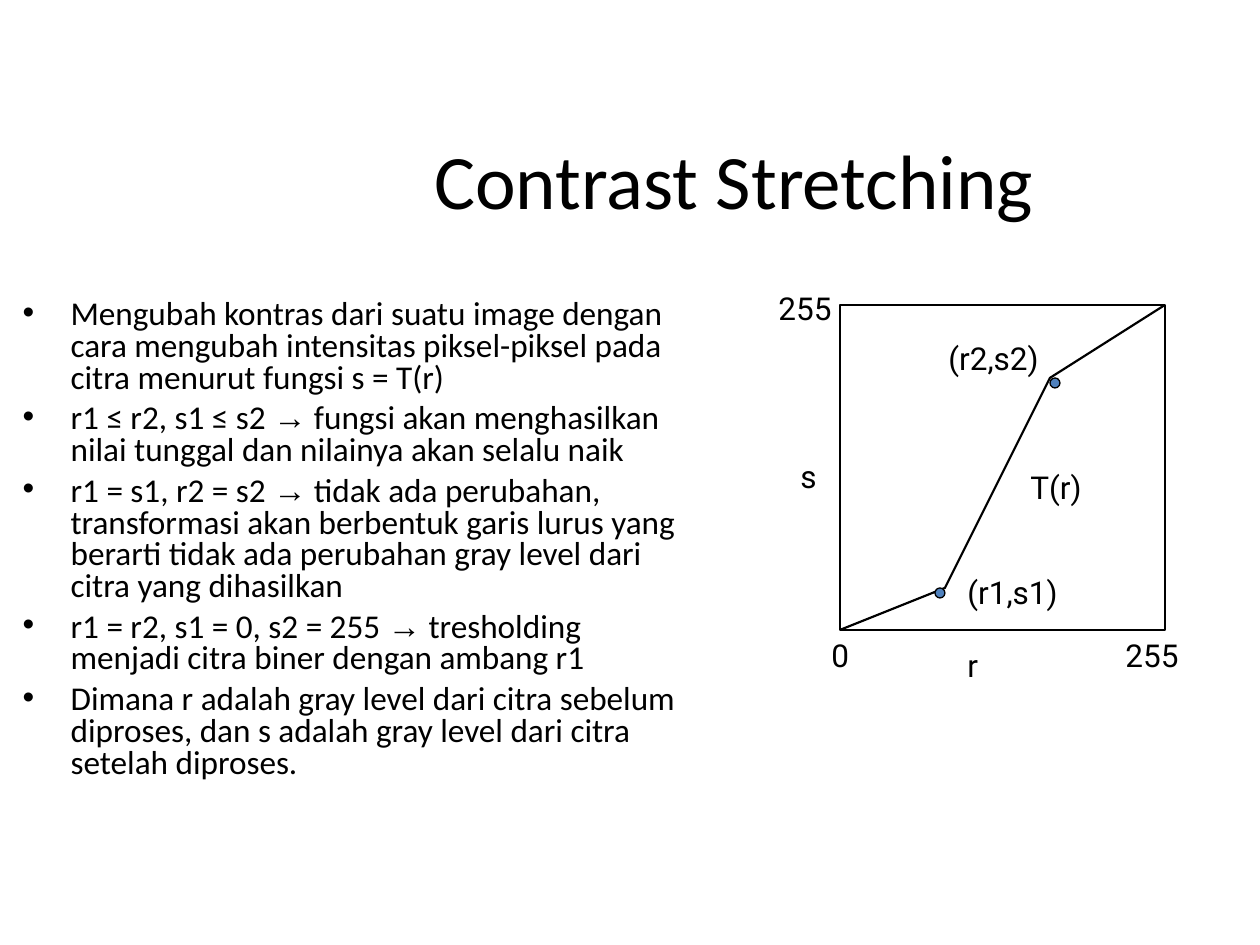
from pptx import Presentation
from pptx.dml.color import RGBColor
from pptx.enum.shapes import MSO_SHAPE as Preset
from pptx.enum.text import MSO_ANCHOR as Anchor, MSO_AUTO_SIZE as AutoSize, PP_ALIGN as Align
from pptx.util import Emu, Pt

EMU_PER_PX = 914400 / 126
COLORS = {"ink": "000000", "dot": "4F81BD"}
BULLETS = [
    "Mengubah kontras dari suatu image dengan cara mengubah intensitas piksel-piksel pada citra menurut fungsi s = T(r)",
    "r1 ≤ r2, s1 ≤ s2 → fungsi akan menghasilkan nilai tunggal dan nilainya akan selalu naik",
    "r1 = s1, r2 = s2 → tidak ada perubahan, transformasi akan berbentuk garis lurus yang berarti tidak ada perubahan gray level dari citra yang dihasilkan",
    "r1 = r2, s1 = 0, s2 = 255 → tresholding menjadi citra biner dengan ambang r1",
    "Dimana r adalah gray level dari citra sebelum diproses, dan s adalah gray level dari citra setelah diproses.",
]
CURVE = [(840, 630), (945, 588), (1050, 378), (1165, 305)]
DOTS = [(935, 588), (1050, 378)]
LABELS = [
    ("0", 819, 630, 42),
    ("s", 788, 451, 42),
    ("(r1,s1)", 955, 567, 147),
    ("r", 955, 640, 42),
    ("255", 766, 283, 94),
    ("255", 1113, 630, 94),
    ("T(r)", 1018, 462, 116),
    ("(r2,s2)", 936, 333, 147),
]


def px(length):
    """Turn a length in px into EMU."""
    return Emu(round(length * EMU_PER_PX))


def write(paragraph, text, font="Calibri", arrow_font="Arial", size=18, color="ink", align=Align.LEFT):
    """Fill a paragraph with formatted text, setting arrows in their own font."""
    paragraph.alignment = align
    before, arrow, after = text.partition("→")
    for part, name in ((before, font), (arrow, arrow_font), (after, font)):
        if part:
            run = paragraph.add_run()
            run.text = part
            run.font.name = name
            run.font.size = Pt(size)
            run.font.color.rgb = RGBColor.from_string(COLORS[color])


class SlideBuilder:
    """Hold the slide and draw its elements in one style."""

    def __init__(self, slide):
        """Keep the slide to draw on."""
        self.slide = slide

    def place(self, shape, left, top, width, height):
        """Move and size a placeholder and return its text frame."""
        shape.left, shape.top, shape.width, shape.height = map(px, (left, top, width, height))
        shape.text_frame.auto_size = AutoSize.NONE
        return shape.text_frame

    def title(self, text, *box):
        """Write the slide title, standing on the bottom of its box."""
        frame = self.place(self.slide.shapes.title, *box)
        frame.vertical_anchor = Anchor.BOTTOM
        write(frame.paragraphs[0], text, size=44, align=Align.CENTER)

    def bullets(self, items, *box):
        """Write the bulleted list in the body placeholder."""
        frame = self.place(self.slide.placeholders[1], *box)
        for index, item in enumerate(items):
            paragraph = frame.add_paragraph() if index else frame.paragraphs[0]
            properties = paragraph._p.get_or_add_pPr()
            properties.set("marL", str(px(48)))
            properties.set("indent", str(-px(48)))
            paragraph.line_spacing = 0.8
            paragraph.space_before = Pt(4.8 if index else 0)
            write(paragraph, item, size=19)

    def outline(self, shape, line_width, fill=None):
        """Give a shape its line and fill, without a shadow."""
        shape.shadow.inherit = False
        shape.line.color.rgb = RGBColor.from_string(COLORS["ink"])
        shape.line.width = Pt(line_width)
        if fill:
            shape.fill.solid()
            shape.fill.fore_color.rgb = RGBColor.from_string(COLORS[fill])
        else:
            shape.fill.background()

    def preset(self, kind, left, top, size, fill=None):
        """Draw a preset shape with equal sides."""
        shape = self.slide.shapes.add_shape(kind, px(left), px(top), px(size), px(size))
        self.outline(shape, 0.75, fill)

    def polyline(self, points):
        """Draw an open line through the points."""
        builder = self.slide.shapes.build_freeform(*points[0], scale=EMU_PER_PX)
        builder.add_line_segments(points[1:], close=False)
        self.outline(builder.convert_to_shape(), 1.25)

    def label(self, text, left, top, width):
        """Write a graph label."""
        frame = self.slide.shapes.add_textbox(px(left), px(top), px(width), px(50)).text_frame
        frame.word_wrap = True
        frame.auto_size = AutoSize.SHAPE_TO_FIT_TEXT
        write(frame.paragraphs[0], text, font="Roboto")


def main():
    """Build the slide and save it."""
    presentation = Presentation()
    presentation.slide_width, presentation.slide_height = px(1260), px(945)
    builder = SlideBuilder(presentation.slides.add_slide(presentation.slide_layouts[1]))
    builder.title("Contrast Stretching", 197, 29, 1074, 202)
    builder.bullets(BULLETS, 10, 294, 693, 509)
    builder.preset(Preset.RECTANGLE, 840, 305, 325)
    builder.polyline(CURVE)
    for left, top in DOTS:
        builder.preset(Preset.OVAL, left, top, 10, "dot")
    for label in LABELS:
        builder.label(*label)
    presentation.save("out.pptx")


if __name__ == "__main__":
    main()
